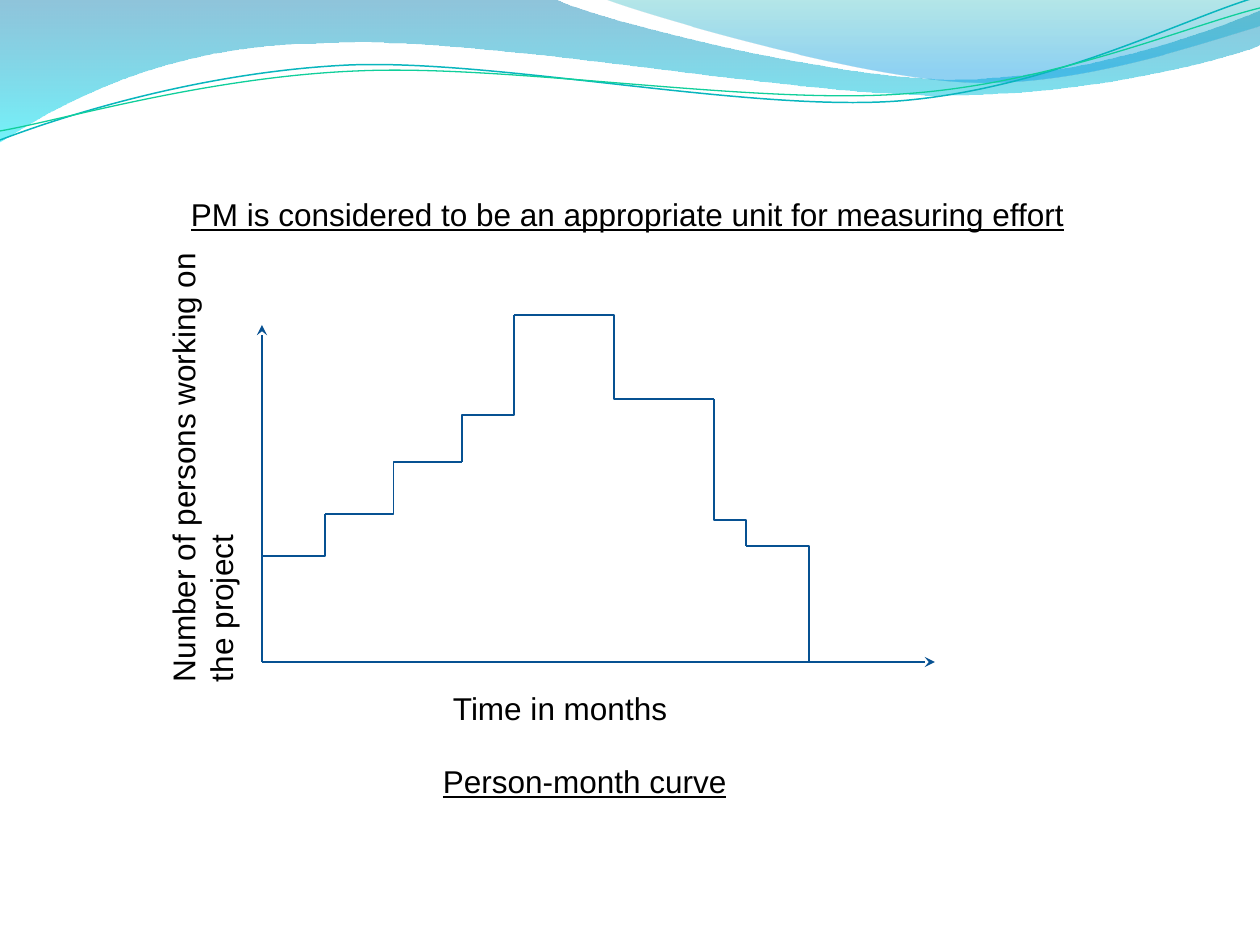
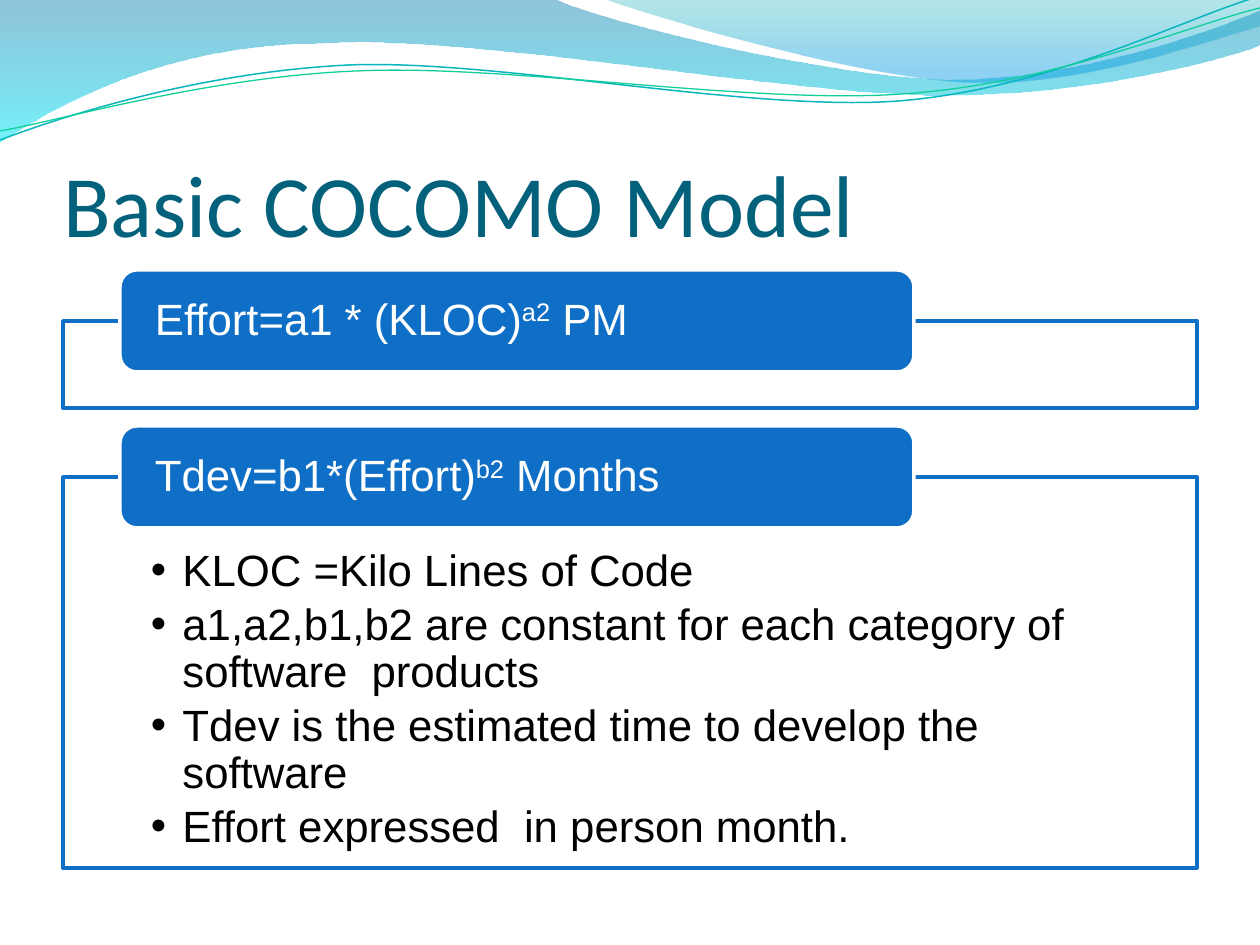
"""Builds two slides on effort estimation: the person-month curve and the basic COCOMO model."""
from pptx import Presentation
from pptx.dml.color import RGBColor
from pptx.enum.shapes import MSO_CONNECTOR as CONN, MSO_SHAPE as SHAPE
from pptx.enum.text import MSO_ANCHOR as ANCHOR, MSO_AUTO_SIZE as AUTO, PP_ALIGN as ALIGN
from pptx.oxml.ns import qn
from pptx.util import Pt
from lxml.etree import SubElement

PX = 914400 / 126
WIDTH, HEIGHT = 1260, 945
BLUE, NAVY, TEAL = "0F6FC6", "075192", "04617B"
WHITE, BLACK = "FFFFFF", "000000"

BAND = [(0, -1), (554, -1), (600, 21, 837, 79, 955, 79), (1075, 79, 1207, 33, 1260, 11),
        (1261, 45), (1239, 55, 1096, 96, 940, 95), (784, 95, 481, 35, 324, 43),
        (163, 44, 58, 105, -1, 142), (0, -1)]
CREST = [(604, -1), (641, 14, 859, 78, 969, 82), (1079, 87, 1211, 40, 1260, 26),
         (1260, 0), (604, -1)]
RIPPLES = [
    ([(0, 140), (60, 117, 199, 72, 349, 65), (497, 59, 747, 112, 898, 101),
      (1050, 89, 1182, 19, 1257, -3)], "09B6BE", 0.85),
    ([(0, 131), (59, 121, 207, 77, 357, 71), (508, 64, 752, 105, 903, 94),
      (1053, 84, 1187, 26, 1260, 8)], "10CF9B", 0.75),
]
FILLED_WAVES = [
    (BAND, [(0, "0079AD", 44), (1, "00E9F7", 55)]),
    (CREST, [(0, "00ABB4", 29), (0.8, "0099E4", 44)]),
]

ORIGIN = (262, 662)
AXIS_ENDS = [(262, 325), (935, 662)]
CURVE_START = (262, 598)
CURVE = [("vertical", 325, 514), ("horizontal", 462, 462), ("vertical", 514, 368),
         ("straight", 514, 315), ("horizontal", 714, 399), ("straight", 714, 494),
         ("vertical", 746, 546), ("horizontal", 872, 662)]
LABELS = [
    ("Time in months", (441, 683, 388, 50), False, 0),
    ("Number of persons working on the project", (-44, 402, 494, 90), False, 270),
    ("Person-month curve", (431, 756, 388, 50), True, 0),
    ("PM is considered to be an appropriate unit for measuring effort",
     (179, 189, 1081, 50), True, 0),
]

TITLE = "Basic COCOMO Model"
FORMULAS = [
    (("Effort=a1 * (KLOC)", "a2", " PM"), 87, []),
    (("Tdev=b1*(Effort)", "b2", " Months"), 391, [
        "KLOC =Kilo Lines of Code",
        "a1,a2,b1,b2 are constant for each category of software  products",
        "Tdev is the estimated time to develop the software",
        "Effort expressed  in person month."]),
]


def px(*values):
    return [round(v * PX) for v in values]


def rgb(value):
    return RGBColor.from_string(value)


def add_alpha(sp, percents):
    for clr, percent in zip(sp._element.spPr.iter(qn("a:srgbClr")), percents):
        SubElement(clr, qn("a:alpha")).set("val", str(percent * 1000))


def set_line(sp, color, width):
    sp.line.color.rgb = rgb(color)
    sp.line.width = Pt(width)


def set_frame(tf, insets, anchor=ANCHOR.TOP):
    tf.word_wrap = True
    tf.auto_size = AUTO.NONE
    tf.vertical_anchor = anchor
    tf.margin_left, tf.margin_top, tf.margin_right, tf.margin_bottom = px(*insets)


def add_run(p, text, size, color, font="Arial", underline=None):
    r = p.add_run()
    r.text = text
    r.font.size, r.font.name = Pt(size), font
    r.font.color.rgb = rgb(color)
    r.font.underline = underline
    return r


def add_wave(s, outline, close):
    points = [px(*part[i:i + 2]) for part in outline for i in range(0, len(part), 2)]
    builder = s.shapes.build_freeform(*points[0], scale=1.0)
    builder.add_line_segments(points[1:], close=close)
    sp = builder.convert_to_shape()
    sp.shadow.inherit = False
    segments = iter(list(sp._element.spPr.iter(qn("a:lnTo"))))
    for part in outline[1:]:
        first = next(segments)
        if len(part) == 6:
            curve = first.getparent().makeelement(qn("a:cubicBezTo"), {})
            first.addprevious(curve)
            for segment in (first, next(segments), next(segments)):
                curve.append(segment[0])
                segment.getparent().remove(segment)
    return sp


def add_waves_to_master(prs, s):
    waves = []
    for outline, stops in FILLED_WAVES:
        sp = add_wave(s, outline, True)
        sp.line.fill.background()
        sp.fill.gradient()
        sp.fill.gradient_angle = 270
        for stop, (position, color, _) in zip(sp.fill.gradient_stops, stops):
            stop.position, stop.color.rgb = position, rgb(color)
        add_alpha(sp, [alpha for _, _, alpha in stops])
        waves.append(sp)
    for outline, color, width in RIPPLES:
        sp = add_wave(s, outline, False)
        sp.fill.background()
        set_line(sp, color, width)
        waves.append(sp)
    tree = prs.slide_master.shapes.element
    for i, sp in enumerate(waves):
        tree.insert(2 + i, sp._element)


def add_link(s, kind, start, end, arrow=False):
    (x1, y1), (x2, y2) = start, end
    if kind == "vertical":
        cx, cy, dx, dy = (x1 + x2) / 2, (y1 + y2) / 2, (x2 - x1) / 2, (y2 - y1) / 2
        x1, y1, x2, y2 = cx + dy, cy - dx, cx - dy, cy + dx
    link_type = CONN.STRAIGHT if kind == "straight" else CONN.ELBOW
    link = s.shapes.add_connector(link_type, *px(x1, y1, x2, y2))
    set_line(link, NAVY, 0.75)
    spPr = link._element.spPr
    if kind == "vertical":
        spPr.find(qn("a:xfrm")).set("rot", "16200000")
    if arrow:
        SubElement(spPr.find(qn("a:ln")), qn("a:tailEnd")).set("type", "stealth")
    SubElement(spPr, qn("a:effectLst"))


def build_curve_slide(s):
    for end in AXIS_ENDS:
        add_link(s, "straight", ORIGIN, end, arrow=True)
    for text, box, underline, rotation in LABELS:
        sp = s.shapes.add_textbox(*px(*box))
        sp.rotation = rotation
        set_frame(sp.text_frame, (12, 6, 12, 6))
        add_run(sp.text_frame.paragraphs[0], text, 18, BLACK, underline=underline or None)
    start = CURVE_START
    for kind, *end in CURVE:
        add_link(s, kind, start, end)
        start = end


def add_panel(s, shape, box, fill, line):
    sp = s.shapes.add_shape(shape, *px(*box))
    sp.shadow.inherit = False
    sp.fill.solid()
    sp.fill.fore_color.rgb = rgb(fill)
    set_line(sp, line, 2)
    return sp


def add_bullets(tf, items):
    for i, item in enumerate(items):
        p = tf.add_paragraph() if i else tf.paragraphs[0]
        pPr = p._p.get_or_add_pPr()
        pPr.set("marL", "228600")
        pPr.set("indent", "-228600")
        SubElement(SubElement(pPr, qn("a:buClr")), qn("a:srgbClr")).set("val", BLACK)
        SubElement(pPr, qn("a:buFont")).set("typeface", "Arial")
        SubElement(pPr, qn("a:buChar")).set("char", "•")
        p.alignment, p.line_spacing, p.space_after = ALIGN.LEFT, 0.9, Pt(3.75)
        add_run(p, item, 25, BLACK)


def build_model_slide(s):
    title = s.shapes.title
    title.left, title.top, title.width, title.height = px(63, 97, 1134, 158)
    set_frame(title.text_frame, (0, 6, 0, 0), ANCHOR.BOTTOM)
    p = title.text_frame.paragraphs[0]
    p.alignment = ALIGN.LEFT
    add_run(p, TITLE, 50, TEAL, "Calibri")

    top, pill_height, gap = 270, 102, 18
    for (base, power, unit), height, notes in FORMULAS:
        frame_top = top + pill_height // 2
        frame = add_panel(s, SHAPE.RECTANGLE, (63, frame_top, 1134, height), WHITE, BLUE)
        add_alpha(frame, [90])
        set_frame(frame.text_frame, (88, 72, 88, 24))
        add_bullets(frame.text_frame, notes)
        pill = add_panel(s, SHAPE.ROUNDED_RECTANGLE, (120, top, 794, pill_height), BLUE, WHITE)
        set_frame(pill.text_frame, (30, 0, 30, 0), ANCHOR.MIDDLE)
        p = pill.text_frame.paragraphs[0]
        p.alignment, p.line_spacing = ALIGN.LEFT, 0.9
        add_run(p, base, 25, WHITE)
        add_run(p, power, 25, WHITE).font._element.set("baseline", "30000")
        add_run(p, unit, 25, WHITE)
        top = frame_top + height + gap


def main():
    prs = Presentation()
    prs.slide_width, prs.slide_height = px(WIDTH, HEIGHT)
    curve_slide = prs.slides.add_slide(prs.slide_layouts[6])
    add_waves_to_master(prs, curve_slide)
    build_curve_slide(curve_slide)
    build_model_slide(prs.slides.add_slide(prs.slide_layouts[5]))
    prs.save("out.pptx")


if __name__ == "__main__":
    main()
